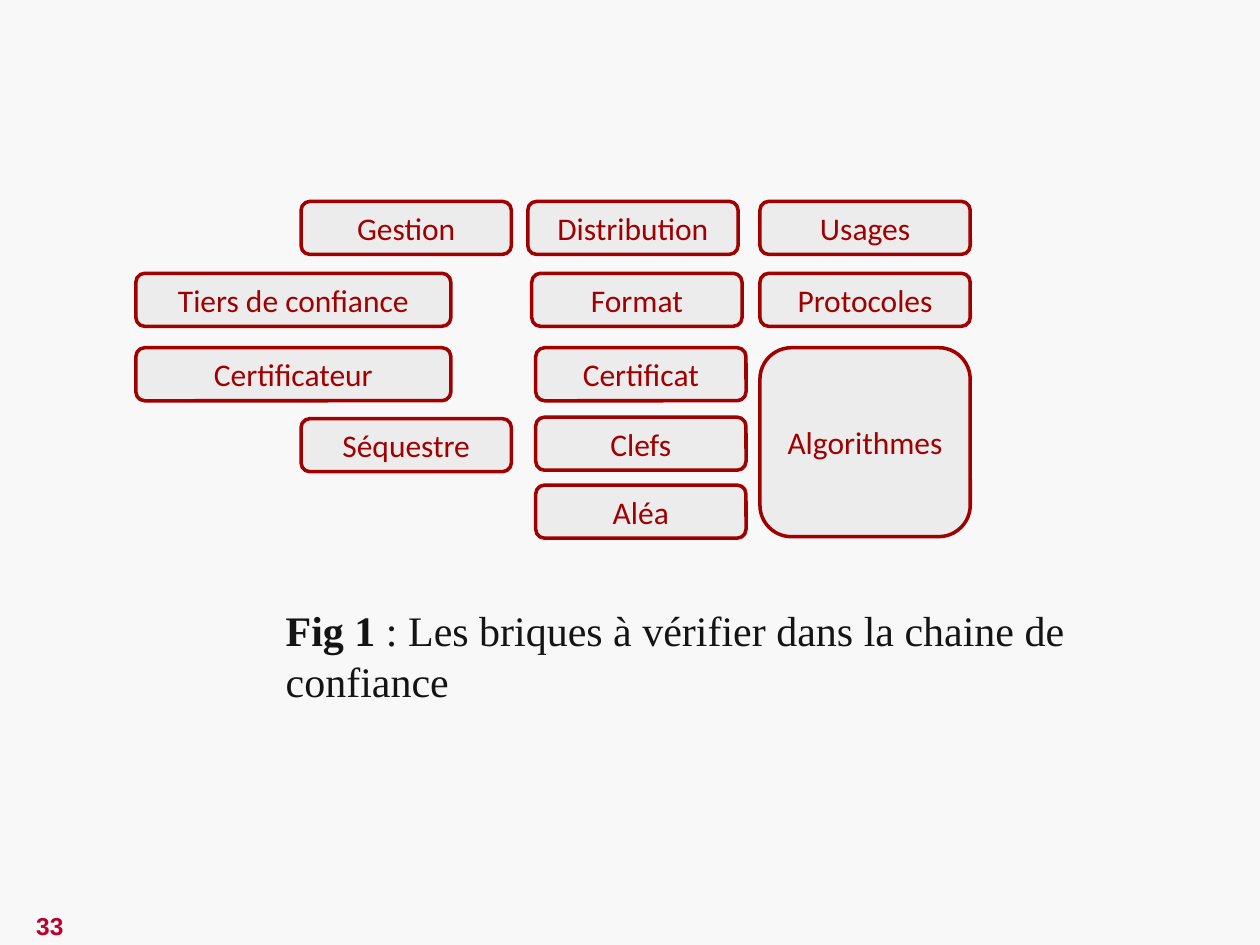
from pptx import Presentation
from pptx.dml.color import RGBColor
from pptx.enum.shapes import MSO_SHAPE
from pptx.enum.text import MSO_ANCHOR, PP_ALIGN
from pptx.util import Cm, Pt

ROUNDED = MSO_SHAPE.ROUNDED_RECTANGLE
MIDDLE = MSO_ANCHOR.MIDDLE
CENTER = PP_ALIGN.CENTER

BACKGROUND = RGBColor(0xF8, 0xF8, 0xF8)
BRICK_FILL = RGBColor(0xEC, 0xEC, 0xEC)
DARK_RED = RGBColor(0xA0, 0x00, 0x00)
NUMBER_RED = RGBColor(0xBC, 0x00, 0x2B)
INK = RGBColor(0x14, 0x14, 0x14)

NARROW, WIDE = 4.24, 6.35
LOW, TALL = 1.07, 3.81
ROW_1, ROW_2, ROW_3, ROW_4, ROW_5 = 4.06, 5.51, 7.01, 8.41, 9.78
TRUST_X, MANAGEMENT_X, USAGE_X = 2.74, 6.07, 15.32

# label, left, top, width, height in centimetres
BRICKS = [
    ("Gestion", MANAGEMENT_X, ROW_1, NARROW, LOW),
    ("Distribution", 10.64, ROW_1, NARROW, LOW),
    ("Usages", USAGE_X, ROW_1, NARROW, LOW),
    ("Tiers de confiance", TRUST_X, ROW_2, WIDE, LOW),
    ("Format", 10.72, ROW_2, NARROW, LOW),
    ("Protocoles", USAGE_X, ROW_2, NARROW, LOW),
    ("Certificateur", TRUST_X, ROW_3, WIDE, LOW),
    ("Certificat", 10.8, ROW_3, NARROW, LOW),
    ("Algorithmes", USAGE_X, ROW_3, NARROW, TALL),
    ("Séquestre", MANAGEMENT_X, ROW_4 + 0.03, NARROW, LOW),
    ("Clefs", 10.8, ROW_4, NARROW, LOW),
    ("Aléa", 10.8, ROW_5, NARROW, LOW),
]


def set_font(font, name, size, color):
    font.name = name
    font.size = Pt(size)
    font.color.rgb = color


prs = Presentation()
prs.slide_width, prs.slide_height = Cm(25.4), Cm(19.05)
s = prs.slides.add_slide(prs.slide_layouts[6])
s.background.fill.solid()
s.background.fill.fore_color.rgb = BACKGROUND

# Bricks of the chain of trust
for label, left, top, width, height in BRICKS:
    sp = s.shapes.add_shape(ROUNDED, Cm(left), Cm(top), Cm(width), Cm(height))
    sp.shadow.inherit = False
    sp.fill.solid()
    sp.fill.fore_color.rgb = BRICK_FILL
    sp.line.color.rgb = DARK_RED
    sp.line.width = Pt(2)
    tf = sp.text_frame
    tf.vertical_anchor = MIDDLE
    p = tf.paragraphs[0]
    p.text = label
    p.alignment = CENTER
    set_font(p.font, "Calibri", 18, DARK_RED)

# Caption
tf = s.shapes.add_textbox(Cm(5.51), Cm(12.07), Cm(17.78), Cm(1.02)).text_frame
tf.word_wrap = True
p = tf.paragraphs[0]
set_font(p.font, "Times New Roman", 24, INK)
r = p.add_run()
r.text = "Fig 1"
r.font.bold = True
p.add_run().text = " : Les briques à vérifier dans la chaine de confiance"

# Page number
tf = s.shapes.add_textbox(Cm(-0.05), Cm(18.24), Cm(2.11), Cm(0.86)).text_frame
tf.word_wrap = True
tf.vertical_anchor = MIDDLE
p = tf.paragraphs[0]
p.text = "33"
p.alignment = CENTER
set_font(p.font, "Arial", 14, NUMBER_RED)
p.font.bold = True

prs.save("out.pptx")
